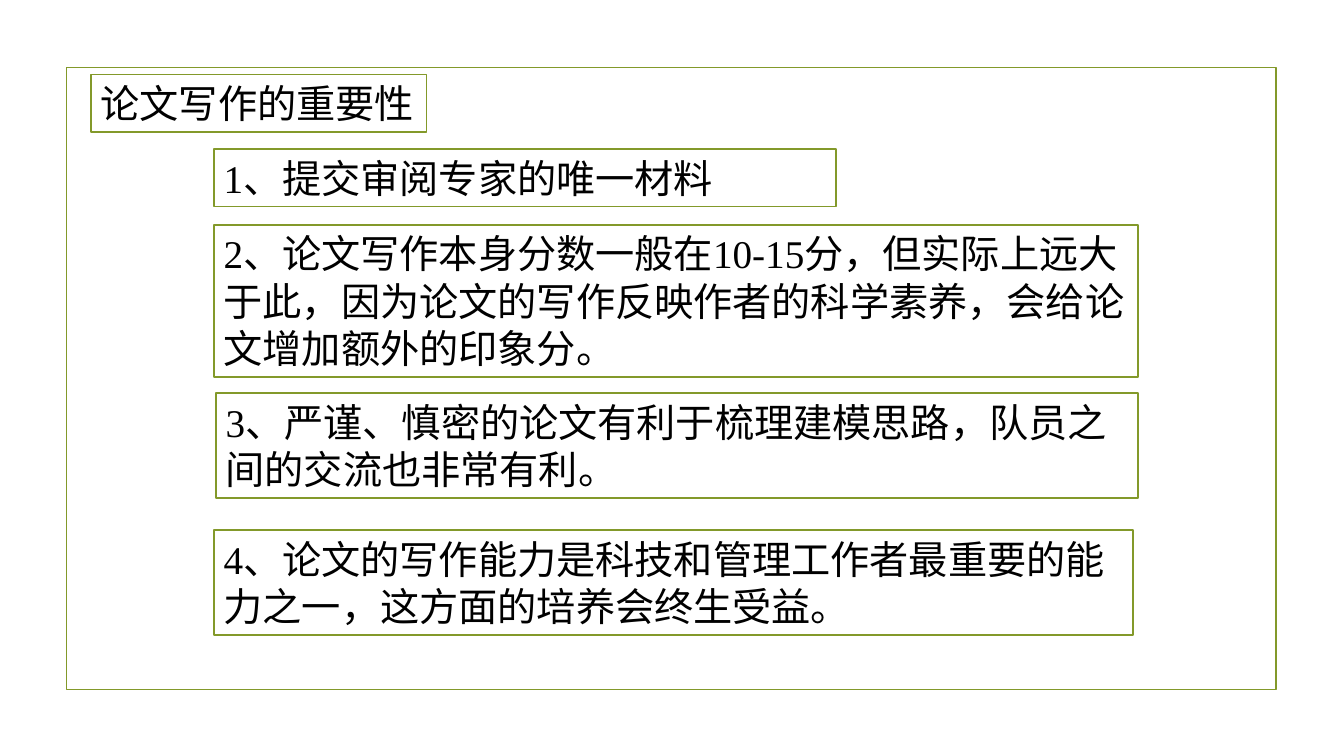
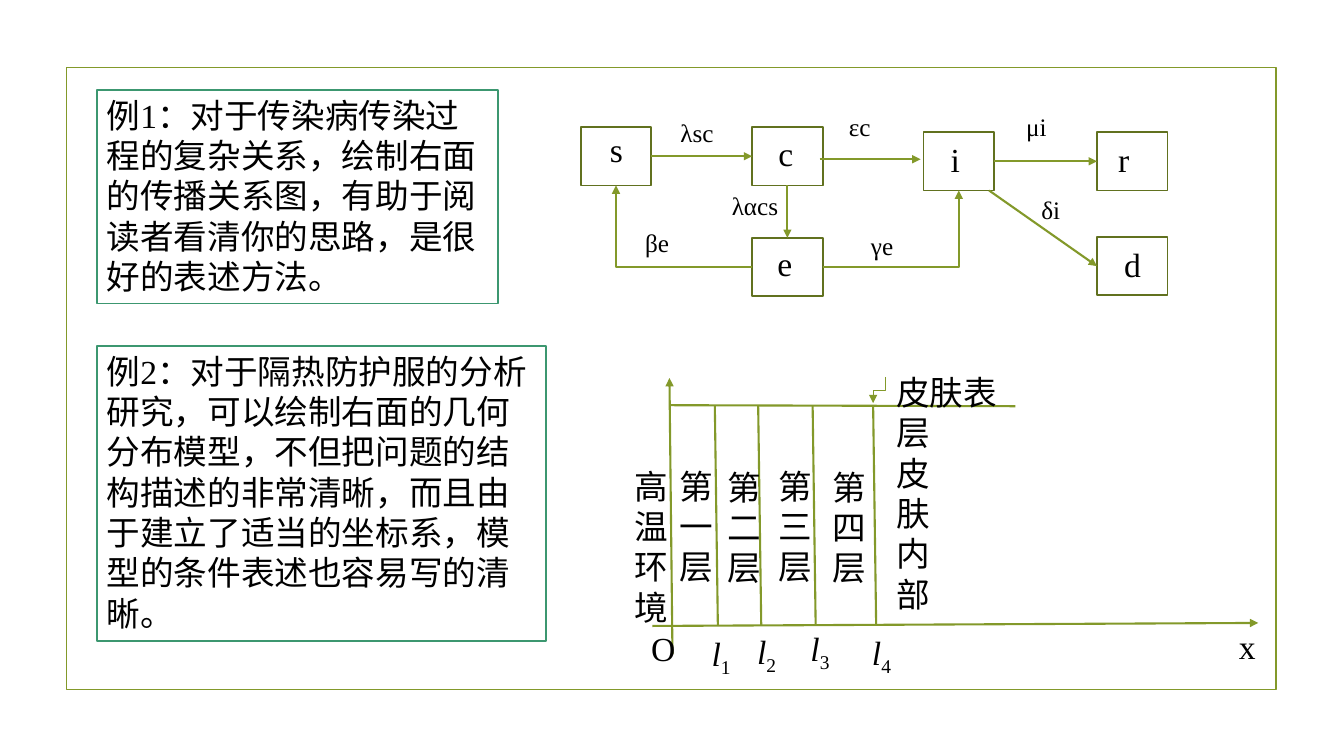
from lxml.etree import SubElement
from pptx import Presentation
from pptx.dml.color import RGBColor
from pptx.enum.shapes import MSO_CONNECTOR as CONN, MSO_SHAPE as SHAPE
from pptx.enum.text import MSO_ANCHOR as ANCHOR, PP_ALIGN as ALIGN
from pptx.oxml.ns import qn
from pptx.util import Emu, Pt

PX = 9144
SLIDE_W, SLIDE_H = 1333, 750
FRAME = (66, 67, 1200, 617)
COLORS = {
    "text": "000000",
    "paper": "FFFFFF",
    "olive": "83992A",
    "node": "61711F",
    "green": "3C9770",
}
SERIF, SANS = "Times New Roman", "Noto Sans CJK JP"
TOP, BOTTOM, LEFT, RIGHT = 0, 2, 1, 3


def px(*lengths):
    return [Emu(n * PX) for n in lengths]


def rgb(name):
    return RGBColor.from_string(COLORS[name])


def add_run(p, text, size, font, italic=False, baseline=0):
    r = p.add_run()
    r.text = text
    r.font.size = Pt(size)
    r.font.name = font
    r.font.italic = italic
    r.font.color.rgb = rgb("text")
    rPr = r.font._element
    SubElement(rPr, qn("a:ea")).set("typeface", SANS)
    if baseline:
        rPr.set("baseline", str(baseline * 1000))


def write(sp, text, size=24, font=SERIF, italic=False, sub="", inset=(10, 5)):
    tf = sp.text_frame
    tf.word_wrap = True
    tf.vertical_anchor = ANCHOR.TOP
    tf.margin_left, tf.margin_top = px(*inset)
    p = tf.paragraphs[0]
    p.alignment = ALIGN.LEFT
    add_run(p, text, size, font, italic)
    if sub:
        add_run(p, sub, size, font, baseline=-25)


def add_label(s, x, y, w, h, text, **fmt):
    sp = s.shapes.add_textbox(*px(x, y, w, h))
    write(sp, text, **fmt)


def add_box(s, x, y, w, h, line="olive", fill=None, text="", **fmt):
    sp = s.shapes.add_shape(SHAPE.RECTANGLE, *px(x, y, w, h))
    sp.shadow.inherit = False
    if fill:
        sp.fill.solid()
        sp.fill.fore_color.rgb = rgb(fill)
    else:
        sp.fill.background()
    sp.line.color.rgb = rgb(line)
    sp.line.width = Pt(1.25)
    if text:
        write(sp, text, **fmt)
    return sp


def add_line(s, x1, y1, x2, y2, kind=CONN.STRAIGHT, width=1.5, arrow=True,
             begin=None, end=None, preset=None, rotation=0):
    c = s.shapes.add_connector(kind, *px(x1, y1, x2, y2))
    c.line.color.rgb = rgb("olive")
    c.line.width = Pt(width)
    if begin:
        c.begin_connect(*begin)
    if end:
        c.end_connect(*end)
    spPr = c._element.spPr
    if arrow:
        SubElement(c.line._get_or_add_ln(), qn("a:tailEnd")).set("type", "triangle")
    if preset:
        spPr.find(qn("a:prstGeom")).set("prst", preset)
    if rotation:
        spPr.find(qn("a:xfrm")).set("rot", str(rotation * 60000))
    SubElement(spPr, qn("a:effectLst"))


def add_framed_slide(prs):
    s = prs.slides.add_slide(prs.slide_layouts[6])
    add_box(s, *FRAME)
    return s


def add_importance(s, x, y):
    points = [
        (122, 74, 617, 57, "1、提交审阅专家的唯一材料"),
        (122, 149, 917, 151, "2、论文写作本身分数一般在10-15分，但实际上远大于此，"
                             "因为论文的写作反映作者的科学素养，会给论文增加额外的印象分。"),
        (124, 316, 915, 104, "3、严谨、慎密的论文有利于梳理建模思路，"
                             "队员之间的交流也非常有利。"),
        (122, 452, 912, 104, "4、论文的写作能力是科技和管理工作者最重要的能力之一，"
                             "这方面的培养会终生受益。"),
    ]
    for dx, dy, w, h, text in [(0, 0, 333, 57, "论文写作的重要性")] + points:
        add_box(s, x + dx, y + dy, w, h, fill="paper", text=text, size=28)


def add_example(s, x, y, w, h, text):
    add_box(s, x, y, w, h, line="green", fill="paper", text=text)


def add_infection_flow(s, x, y):
    w, h = 70, 58
    places = {
        "s": (0, 21, 29, 2), "c": (170, 21, 26, 6), "e": (170, 131, 25, 5),
        "i": (340, 26, 27, 7), "r": (512, 26, 21, 7), "d": (512, 130, 27, 7),
    }
    nodes = {
        name: add_box(s, x + dx, y + dy, w, h, line="node", text=name, inset=inset)
        for name, (dx, dy, *inset) in places.items()
    }
    joins = [
        ("s", RIGHT, "c", LEFT, None),
        ("c", BOTTOM, "e", TOP, None),
        ("i", RIGHT, "r", LEFT, None),
        ("e", RIGHT, "i", BOTTOM, "bentConnector2"),
        ("e", LEFT, "s", BOTTOM, "bentConnector2"),
    ]
    for a, a_side, b, b_side, preset in joins:
        add_line(s, x, y, x + w, y + h, CONN.ELBOW if preset else CONN.STRAIGHT,
                 begin=(nodes[a], a_side), end=(nodes[b], b_side), preset=preset)
    add_line(s, x + 237, y + 53, x + 337, y + 53)
    add_line(s, x + 405, y + 84, x + 512, y + 160, end=(nodes["d"], LEFT))
    rates = [
        ("λsc", 89, 6), ("λαcs", 140, 79), ("μi", 432, 0), ("εc", 256, 0),
        ("γe", 278, 119), ("βe", 54, 116), ("δi", 447, 83),
    ]
    for text, dx, dy in rates:
        add_label(s, x + dx, y + dy, 79, 41, text, size=18)


def add_layer_model(s, x, y):
    add_line(s, x + 28, y + 257, x + 629, y + 254)
    add_line(s, x + 48, y + 285, x + 45, y + 11)
    add_line(s, x + 45, y + 38, x + 388, y + 39, arrow=False)
    layers = [
        ("第一层", 45, 93, 90, 77, 259), ("第二层", 93, 94, 133, 122, 257),
        ("第三层", 143, 93, 187, 175, 254), ("第四层", 197, 94, 247, 236, 258),
    ]
    for n, (text, dx, dy, wall, mark_x, mark_y) in enumerate(layers, 1):
        add_line(s, x + wall, y + 39, x + wall + 3, y + 256, arrow=False)
        add_label(s, x + dx, y + dy, 39, 98, text, font=SANS)
        add_label(s, x + mark_x, y + mark_y, 42, 38, "l", italic=True, sub=str(n))
    add_label(s, x, y + 93, 63, 128, "高温环境")
    add_label(s, x + 260, y + 80, 43, 128, "皮肤内部")
    add_label(s, x + 260, y, 134, 38, "皮肤表层", font=SANS)
    add_label(s, x + 17, y + 254, 45, 38, "O")
    add_label(s, x + 600, y + 252, 63, 38, "x")
    add_line(s, x + 240, y + 17, x + 266, y + 29, CONN.ELBOW, width=0.75, rotation=90)


def main():
    prs = Presentation()
    prs.slide_width, prs.slide_height = px(SLIDE_W, SLIDE_H)

    s = add_framed_slide(prs)
    add_importance(s, 90, 74)

    s = add_framed_slide(prs)
    add_infection_flow(s, 576, 105)
    add_example(s, 96, 89, 398, 212,
                "例1：对于传染病传染过程的复杂关系，绘制右面的传播关系图，"
                "有助于阅读者看清你的思路，是很好的表述方法。")
    add_layer_model(s, 619, 364)
    add_example(s, 96, 343, 446, 293,
                "例2：对于隔热防护服的分析研究，可以绘制右面的几何分布模型，"
                "不但把问题的结构描述的非常清晰，而且由于建立了适当的坐标系，"
                "模型的条件表述也容易写的清晰。")

    prs.save("out.pptx")


if __name__ == "__main__":
    main()
